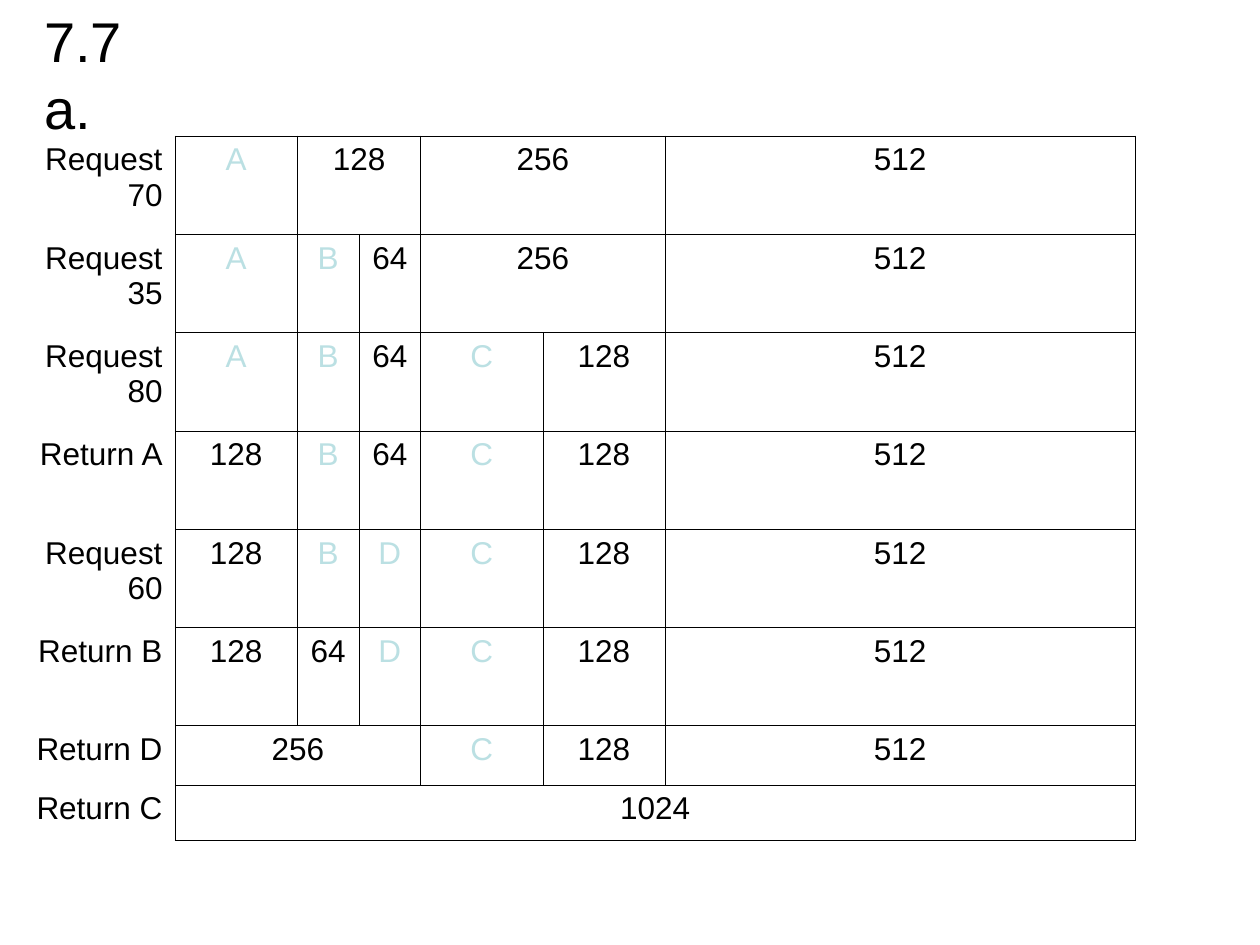
from lxml.etree import SubElement
from pptx import Presentation
from pptx.dml.color import RGBColor
from pptx.enum.text import MSO_ANCHOR as Anchor, MSO_AUTO_SIZE as AutoSize, PP_ALIGN as Align
from pptx.oxml.ns import qn
from pptx.util import Inches, Pt

BLACK = "000000"
ALLOCATED = "BBE0E3"
TITLE = "7.7\va."
COLUMN_WIDTHS = [1.39, 0.97, 0.49, 0.49, 0.97, 0.97, 3.73]
ROW_HEIGHTS = [0.78] * 6 + [0.47, 0.44]
MEMORY_STEPS = [
    ("Request 70", [("A", 1), ("128", 2), ("256", 2), ("512", 1)]),
    ("Request 35", [("A", 1), ("B", 1), ("64", 1), ("256", 2), ("512", 1)]),
    ("Request 80", [("A", 1), ("B", 1), ("64", 1), ("C", 1), ("128", 1), ("512", 1)]),
    ("Return A", [("128", 1), ("B", 1), ("64", 1), ("C", 1), ("128", 1), ("512", 1)]),
    ("Request 60", [("128", 1), ("B", 1), ("D", 1), ("C", 1), ("128", 1), ("512", 1)]),
    ("Return B", [("128", 1), ("64", 1), ("D", 1), ("C", 1), ("128", 1), ("512", 1)]),
    ("Return D", [("256", 3), ("C", 1), ("128", 1), ("512", 1)]),
    ("Return C", [("1024", 6)]),
]


def format_paragraph(paragraph, size, color, alignment):
    paragraph.alignment = alignment
    for name, value in {"name": "Arial", "size": Pt(size)}.items():
        setattr(paragraph.font, name, value)
    paragraph.font.color.rgb = RGBColor.from_string(color)


def set_borders(cell, visible_sides):
    properties = cell._tc.get_or_add_tcPr()
    for side in "LRTB":
        line = SubElement(properties, qn(f"a:ln{side}"), w=str(Pt(0.45)))
        if side in visible_sides:
            fill = SubElement(line, qn("a:solidFill"))
            SubElement(fill, qn("a:srgbClr"), val=BLACK)
        else:
            SubElement(line, qn("a:noFill"))
    cell.fill.background()


def write_cell(cell, text, color, alignment):
    cell.text = text
    paragraph = cell.text_frame.paragraphs[0]
    properties = paragraph._p.get_or_add_pPr()
    properties.set("marL", str(Inches(0.38)))
    properties.set("indent", str(Inches(-0.38)))
    format_paragraph(paragraph, 18, color, alignment)


def add_title(slide):
    title = slide.shapes.title
    box = {"left": 0.25, "top": 0.17, "width": 1.08, "height": 0.83}
    for name, value in box.items():
        setattr(title, name, Inches(value))
    frame = title.text_frame
    frame.text = TITLE
    settings = {"word_wrap": True, "auto_size": AutoSize.NONE, "vertical_anchor": Anchor.MIDDLE}
    for name, value in settings.items():
        setattr(frame, name, value)
    format_paragraph(frame.paragraphs[0], 32, BLACK, Align.LEFT)


def add_memory_table(slide):
    table = slide.shapes.add_table(
        len(ROW_HEIGHTS), len(COLUMN_WIDTHS), Inches(0), Inches(1.08),
        Inches(sum(COLUMN_WIDTHS)), Inches(sum(ROW_HEIGHTS)),
    ).table
    table.first_row = table.horz_banding = False
    for column, width in zip(table.columns, COLUMN_WIDTHS):
        column.width = Inches(width)
    for row, height in zip(table.rows, ROW_HEIGHTS):
        row.height = Inches(height)
    for row, (label, blocks) in enumerate(MEMORY_STEPS):
        label_cell = table.cell(row, 0)
        write_cell(label_cell, label, BLACK, Align.RIGHT)
        set_borders(label_cell, "R")
        start = 1
        for text, span in blocks:
            end = start + span - 1
            cell = table.cell(row, start)
            if span > 1:
                cell.merge(table.cell(row, end))
            write_cell(cell, text, ALLOCATED if text.isalpha() else BLACK, Align.CENTER)
            for column in range(start, end + 1):
                set_borders(table.cell(row, column), "LRTB")
            start = end + 1


def main():
    presentation = Presentation()
    presentation.slide_width = Inches(10)
    presentation.slide_height = Inches(7.5)
    slide = presentation.slides.add_slide(presentation.slide_layouts[5])
    add_title(slide)
    add_memory_table(slide)
    presentation.save("out.pptx")


if __name__ == "__main__":
    main()
